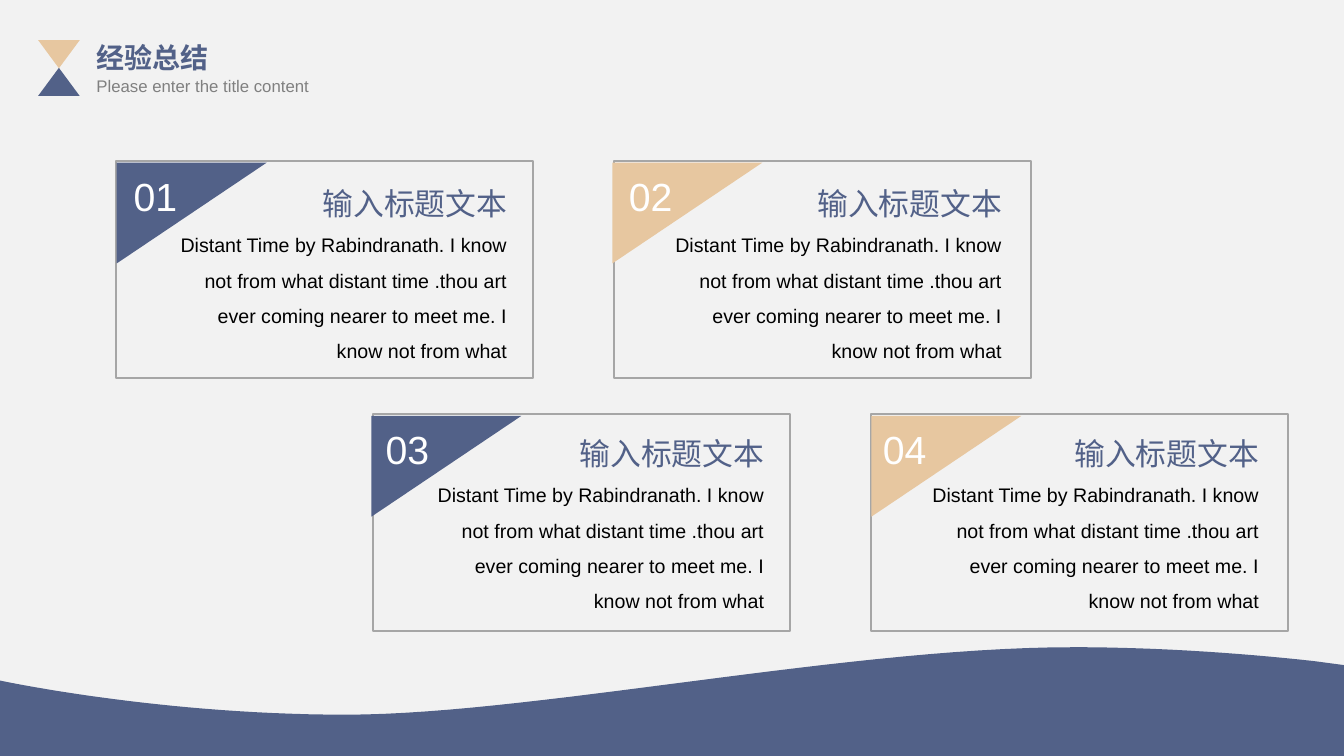
from dataclasses import dataclass

from lxml import etree
from pptx import Presentation
from pptx import util as u
from pptx.dml.color import RGBColor
from pptx.enum import shapes, text


@dataclass(frozen=True)
class Theme:
    font: str = "Arial"
    background: str = "F2F2F2"
    blue: str = "526188"
    sand: str = "E7C7A0"
    border: str = "A6A6A6"
    subtitle: str = "808080"
    body: str = "000000"
    white: str = "FFFFFF"
    heading_size: int = 20
    subtitle_size: int = 12
    number_size: int = 28
    title_size: int = 22
    body_size: int = 14


class SlideBuilder:
    def __init__(self, slide, theme):
        self.slide = slide
        self.theme = theme
        fill = slide.background.fill
        fill.solid()
        fill.fore_color.rgb = RGBColor.from_string(theme.background)

    def style(self, shape, fill=None, line=None):
        shape.shadow.inherit = False
        if fill:
            shape.fill.solid()
            shape.fill.fore_color.rgb = RGBColor.from_string(fill)
        else:
            shape.fill.background()
        if line:
            shape.line.color.rgb = RGBColor.from_string(line)
            shape.line.width = u.Pt(1.5)
        else:
            shape.line.fill.background()

    def shape(self, kind, left, top, width, height, fill=None, line=None, rotation=0):
        shape = self.slide.shapes.add_shape(
            kind, u.Cm(left), u.Cm(top), u.Cm(width), u.Cm(height))
        shape.rotation = rotation
        self.style(shape, fill, line)

    def outline(self, points, fill):
        corners = [(u.Cm(x), u.Cm(y)) for x, y in points]
        builder = self.slide.shapes.build_freeform(*corners[0])
        builder.add_line_segments(corners[1:], close=True)
        self.style(builder.convert_to_shape(), fill)

    def text(self, words, left, top, width, height, size, color,
             align=text.PP_ALIGN.LEFT, bold=False, spacing=1.0):
        box = self.slide.shapes.add_textbox(
            u.Cm(left), u.Cm(top), u.Cm(width), u.Cm(height))
        box.text_frame.word_wrap = True
        paragraph = box.text_frame.paragraphs[0]
        paragraph.text = words
        paragraph.alignment = align
        paragraph.line_spacing = spacing
        paragraph.font.name = self.theme.font
        paragraph.font.size = u.Pt(size)
        paragraph.font.bold = bold
        paragraph.font.color.rgb = RGBColor.from_string(color)

    def card(self, number, color, left, top, corner_left, number_left, text_left, text_top):
        theme = self.theme
        self.shape(shapes.MSO_SHAPE.RECTANGLE, left, top, 10.52, 5.46, line=theme.border)
        self.shape(shapes.MSO_SHAPE.RIGHT_TRIANGLE, corner_left, top - 0.58, 2.54, 3.78,
                   fill=color, rotation=90)
        self.text(number, number_left, top + 0.15, 3.86, 1.45,
                  theme.number_size, theme.white)
        self.text("输入标题文本", text_left + 3.84, text_top - 0.93, 5.23, 1.19,
                  theme.title_size, theme.blue, text.PP_ALIGN.JUSTIFY)
        self.text(BODY, text_left, text_top, 8.99, 3.84, theme.body_size, theme.body,
                  text.PP_ALIGN.RIGHT, spacing=1.5)


def curve(start, control_1, control_2, end, steps=30):
    points = []
    for step in range(steps + 1):
        t = step / steps
        weights = ((1 - t) ** 3, 3 * t * (1 - t) ** 2, 3 * t ** 2 * (1 - t), t ** 3)
        points.append(tuple(
            sum(weight * value for weight, value in zip(weights, values))
            for values in zip(start, control_1, control_2, end)))
    return points


BODY = ("Distant Time by Rabindranath. I know not from what distant time .thou art "
        "ever coming nearer to meet me. I know not from what")
WIDTH, HEIGHT = 33.87, 19.05
TROUGH, CREST = (8.71, 18.01), (27.05, 16.31)


def main():
    presentation = Presentation()
    presentation.slide_width = u.Cm(WIDTH)
    presentation.slide_height = u.Cm(HEIGHT)
    slide = presentation.slides.add_slide(presentation.slide_layouts[6])
    theme = Theme()
    builder = SlideBuilder(slide, theme)

    wave = (curve((0, 17.15), (0, 17.15), (3.99, 18.01), TROUGH)
            + curve(TROUGH, (13.41, 18.01), (21.34, 16.31), CREST)
            + curve(CREST, (29.18, 16.31), (31.29, 16.46), (33.12, 16.66)))
    builder.outline(wave + [(WIDTH, 16.76), (WIDTH, HEIGHT), (0, HEIGHT)], theme.blue)

    triangle = shapes.MSO_SHAPE.ISOSCELES_TRIANGLE
    builder.shape(triangle, 0.96, 1.71, 1.05, 0.71, fill=theme.blue)
    builder.shape(triangle, 0.96, 1.01, 1.05, 0.71, fill=theme.sand, rotation=180)
    builder.text("经验总结", 2.18, 0.89, 4.55, 1.12, theme.heading_size, theme.blue,
                 text.PP_ALIGN.JUSTIFY, bold=True)
    builder.text("Please enter the title content", 2.18, 1.78, 6.71, 0.76,
                 theme.subtitle_size, theme.subtitle, text.PP_ALIGN.JUSTIFY)

    upper, lower = 4.06, 10.44
    upper_text, lower_text = 5.46, 11.76
    builder.card("01", theme.blue, 2.92, upper, 3.56, 3.12, 4.04, upper_text)
    builder.card("02", theme.sand, 15.47, upper, 16.05, 15.6, 16.51, upper_text)
    builder.card("03", theme.blue, 9.4, lower, 9.98, 9.47, 10.52, lower_text)
    builder.card("04", theme.sand, 21.95, lower, 22.58, 22.0, 22.99, lower_text)

    presentation.save("out.pptx")


if __name__ == "__main__":
    main()
